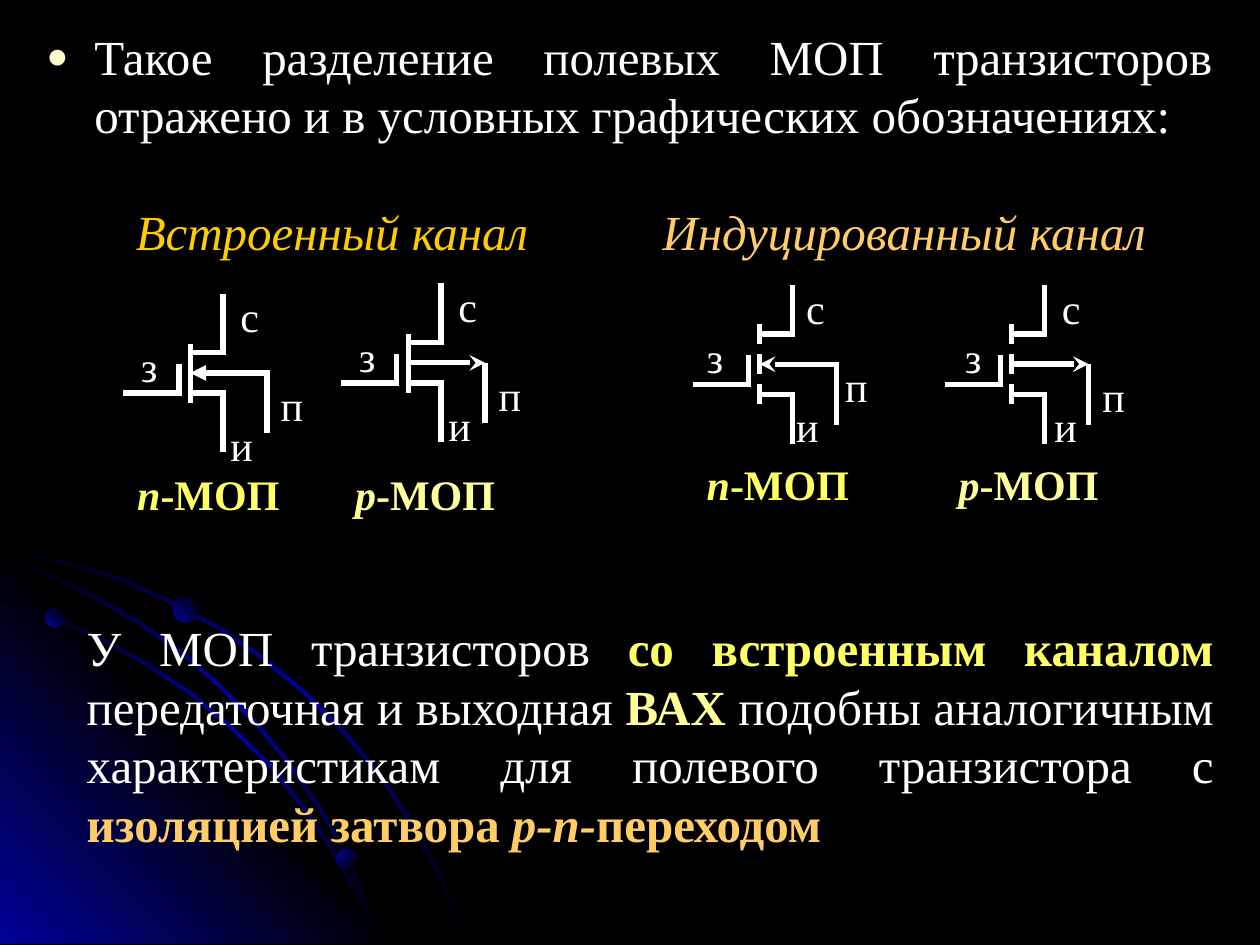
from lxml import etree
from pptx import Presentation
from pptx import util as u
from pptx.dml.color import RGBColor
from pptx.enum import shapes, text
from pptx.oxml import parse_xml
from pptx.oxml.ns import nsdecls, qn

WIDTH, HEIGHT = 10, 7.5
SERIF = "Times New Roman"
BLACK, BLUE, WHITE = "000000", "010199", "FFFFFF"
YELLOW, PALE, ORANGE = "FFFF66", "FFFF99", "FFCC66"

GLOW = [(0, 4.27), (3.22, 7.49), (0, 7.49)]
ARCS = [
    [(0, 4.35), (0.28, 4.41), (0.57, 4.47), (0.98, 4.59), (1.36, 4.77), (1.74, 4.97),
     (2.09, 5.21), (2.42, 5.48), (2.72, 5.78), (3, 6.11), (3.25, 6.48), (3.39, 6.73),
     (3.52, 6.98), (3.62, 7.23), (3.72, 7.49)],
    [(0, 4.75), (0.41, 4.88), (0.79, 5.05), (1.17, 5.26), (1.52, 5.49), (1.84, 5.76),
     (2.15, 6.06), (2.42, 6.4), (2.66, 6.76), (2.86, 7.12), (2.96, 7.3), (3.03, 7.49)],
    [(0, 4.42), (0.39, 4.55), (0.76, 4.73), (1.11, 4.93), (1.44, 5.16), (1.75, 5.43),
     (2.04, 5.73), (2.29, 6.03), (2.54, 6.39), (2.69, 6.65), (2.82, 6.93), (2.94, 7.2),
     (3.03, 7.49)],
]
PLANETS = [(0.36, 4.83, 0.15, 135), (2.67, 6.74, 0.16, 225), (1.37, 4.73, 0.21, 135)]

INTRO = "Такое разделение полевых МОП транзисторов отражено и в условных графических обозначениях:"
HEADINGS = [
    ("Встроенный канал", (0.98, 1.55, 3.54, 0.57), "FFCC00"),
    ("Индуцированный канал", (5.16, 1.55, 4.1, 0.57), ORANGE),
]
SUMMARY = [
    ("У МОП транзисторов ", {}),
    ("со встроенным каналом", {"color": YELLOW, "bold": True}),
    (" передаточная и выходная ", {}),
    ("ВАХ", {"color": PALE, "bold": True}),
    (" подобны аналогичным характеристикам для полевого транзистора с ", {}),
    ("изоляцией затвора ", {"color": ORANGE, "bold": True}),
    ("p-n-", {"color": ORANGE, "bold": True, "italic": True}),
    ("переходом ", {"color": ORANGE, "bold": True}),
]

BUILT_IN = {"channel": [(-0.23, 0.24)], "tap": 0.16}
INDUCED = {"channel": [(-0.32, -0.16), (-0.08, 0.08), (0.16, 0.32)], "tap": 0.24}
LABELS = {"з": (-0.49, -0.31), "с": (0.3, -0.7), "и": (0.22, 0.24), "п": (0.62, 0)}
TRANSISTORS = [
    {"at": (1.51, 2.96), "kind": BUILT_IN, "type": "n", "arrow": "triangle",
     "name_top": 3.67, "nudge": {"и": (0, 0.08)}},
    {"at": (3.24, 2.88), "kind": BUILT_IN, "type": "р", "arrow": "stealth",
     "name_top": 3.67, "nudge": {}},
    {"at": (6.03, 2.89), "kind": INDUCED, "type": "n", "arrow": "stealth", "name_top": 3.59,
     "nudge": {"з": (-0.03, 0), "с": (-0.03, 0), "и": (-0.03, 0), "п": (-0.04, -0.08)}},
    {"at": (8.03, 2.89), "kind": INDUCED, "type": "р", "arrow": "stealth", "name_top": 3.59,
     "nudge": {"з": (0.02, 0), "и": (0.02, 0)}},
]


def color_of(value):
    """Turn a hex string into a colour."""
    return RGBColor.from_string(value)


def write(page, place, spans, color=WHITE, size=28, align=None, before=0, spacing=None, wrap=True, bullet=None):
    """Add a text box holding one paragraph of formatted spans."""
    box = page.shapes.add_textbox(*map(u.Inches, place))
    box.text_frame.word_wrap = wrap
    para = box.text_frame.paragraphs[0]
    para.alignment, para.space_before = align, u.Pt(before)
    if spacing:
        para.line_spacing = spacing
    if bullet:
        props = para._p.get_or_add_pPr()
        props.set("marL", str(u.Inches(0.38)))
        props.set("indent", str(-u.Inches(0.38)))
        ns = nsdecls("a")
        for xml in (f'<a:buClr {ns}><a:srgbClr val="{bullet}"/></a:buClr>',
                    f'<a:buSzPct {ns} val="75000"/>',
                    f'<a:buFont {ns} typeface="Arial"/>',
                    f'<a:buChar {ns} char="●"/>'):
            props.append(parse_xml(xml))
    for words, style in spans:
        span = para.add_run()
        span.text = words
        span.font.name = style.get("font", SERIF)
        span.font.size = u.Pt(style.get("size", size))
        span.font.bold = style.get("bold", False)
        span.font.italic = style.get("italic", False)
        span.font.color.rgb = color_of(style.get("color", color))


def outline(page, points, close):
    """Build a freeform through points given in inches."""
    points = [(u.Inches(x), u.Inches(y)) for x, y in points]
    builder = page.shapes.build_freeform(*points[0])
    builder.add_line_segments(points[1:], close=close)
    shape = builder.convert_to_shape()
    shape.shadow.inherit = False
    return shape


def shade(shape, colors, angle):
    """Fill a shape with evenly spaced gradient stops and no line."""
    shape.shadow.inherit = False
    shape.line.fill.background()
    step = 100000 // (len(colors) - 1)
    stops = "".join(f'<a:gs pos="{i * step}"><a:srgbClr val="{c}"/></a:gs>' for i, c in enumerate(colors))
    gradient = parse_xml(f'<a:gradFill {nsdecls("a")} rotWithShape="1"><a:gsLst>{stops}</a:gsLst>'
                         f'<a:lin ang="{angle * 60000}" scaled="1"/></a:gradFill>')
    shape._element.spPr.find(qn("a:ln")).addprevious(gradient)


def wire(page, points, head=None, tail=None):
    """Draw a white wire: a connector for two points, a polyline for more."""
    if len(points) == 2:
        ends = [u.Inches(value) for point in points for value in point]
        shape = page.shapes.add_connector(shapes.MSO_CONNECTOR.STRAIGHT, *ends)
        etree.SubElement(shape._element.spPr, qn("a:effectLst"))
    else:
        shape = outline(page, points, False)
        shape.fill.background()
    shape.line.color.rgb = color_of(WHITE)
    shape.line.width = u.Pt(3)
    line = shape.line._get_or_add_ln()
    etree.SubElement(line, qn("a:miter"), lim="800000")
    for tag, arrow in (("a:headEnd", head), ("a:tailEnd", tail)):
        if arrow:
            etree.SubElement(line, qn(tag), type=arrow)


def draw_transistor(page, item):
    """Draw one transistor symbol with its pin labels and name."""
    x, y = item["at"]
    tap = item["kind"]["tap"]

    def route(*offsets, **arrows):
        """Wire through offsets from the middle of the channel."""
        wire(page, [(x + dx, y + dy) for dx, dy in offsets], **arrows)

    for top, bottom in item["kind"]["channel"]:
        route((0, top), (0, bottom))
    for side in (1, -1):
        route((0, side * tap), (0.26, side * tap), (0.26, side * 0.63))
    route((-0.09, -0.07), (-0.09, 0.16), (-0.53, 0.16))
    bulk = [(0, 0), (0.61, 0), (0.61, 0.48)]
    if item["type"] == "n":
        route(*bulk, head=item["arrow"])
    else:
        route(*bulk[:2], tail=item["arrow"])
        route(*bulk[1:])
    for pin, (dx, dy) in LABELS.items():
        shift_x, shift_y = item["nudge"].get(pin, (0, 0))
        place = (x + dx + shift_x, y + dy + shift_y, 0.43, 0.39)
        write(page, place, [(pin, {})], size=24, wrap=False)
    name = [(item["type"], {"bold": True, "italic": True}), ("-МОП", {"bold": True})]
    write(page, (x - 0.52, item["name_top"], 1.39, 0.47), name, size=24,
          color=YELLOW if item["type"] == "n" else PALE)


def draw_backdrop(page):
    """Paint the black background, blue glow, arcs and planets."""
    page.background.fill.solid()
    page.background.fill.fore_color.rgb = color_of(BLACK)
    shade(outline(page, GLOW, True), [BLUE, BLACK, BLUE], 135)
    for arc in ARCS:
        inner = [(max(0, x - 0.02), min(7.49, y + 0.02)) for x, y in reversed(arc)]
        shade(outline(page, arc + inner, True), [BLACK, BLUE, BLACK], 225)
    for left, top, size, angle in PLANETS:
        planet = page.shapes.add_shape(shapes.MSO_SHAPE.OVAL, *map(u.Inches, (left, top, size, size)))
        shade(planet, [BLACK, BLUE], angle)


def main():
    """Build the slide and save it."""
    deck = Presentation()
    deck.slide_width, deck.slide_height = u.Inches(WIDTH), u.Inches(HEIGHT)
    page = deck.slides.add_slide(deck.slide_layouts[6])
    justify = text.PP_ALIGN.JUSTIFY
    draw_backdrop(page)
    write(page, (0.27, 0.21, 9.45, 1.02), [(INTRO, {}), (" ", {"font": "Arial", "size": 32})],
          align=justify, before=8, spacing=0.9, bullet="FFFFCC")
    for item in TRANSISTORS:
        draw_transistor(page, item)
    for words, place, color in HEADINGS:
        write(page, place, [(words, {"italic": True})], color=color, before=17.5)
    write(page, (0.59, 4.85, 9.14, 1.97), SUMMARY, align=justify, before=17.5)
    deck.save("out.pptx")


if __name__ == "__main__":
    main()
